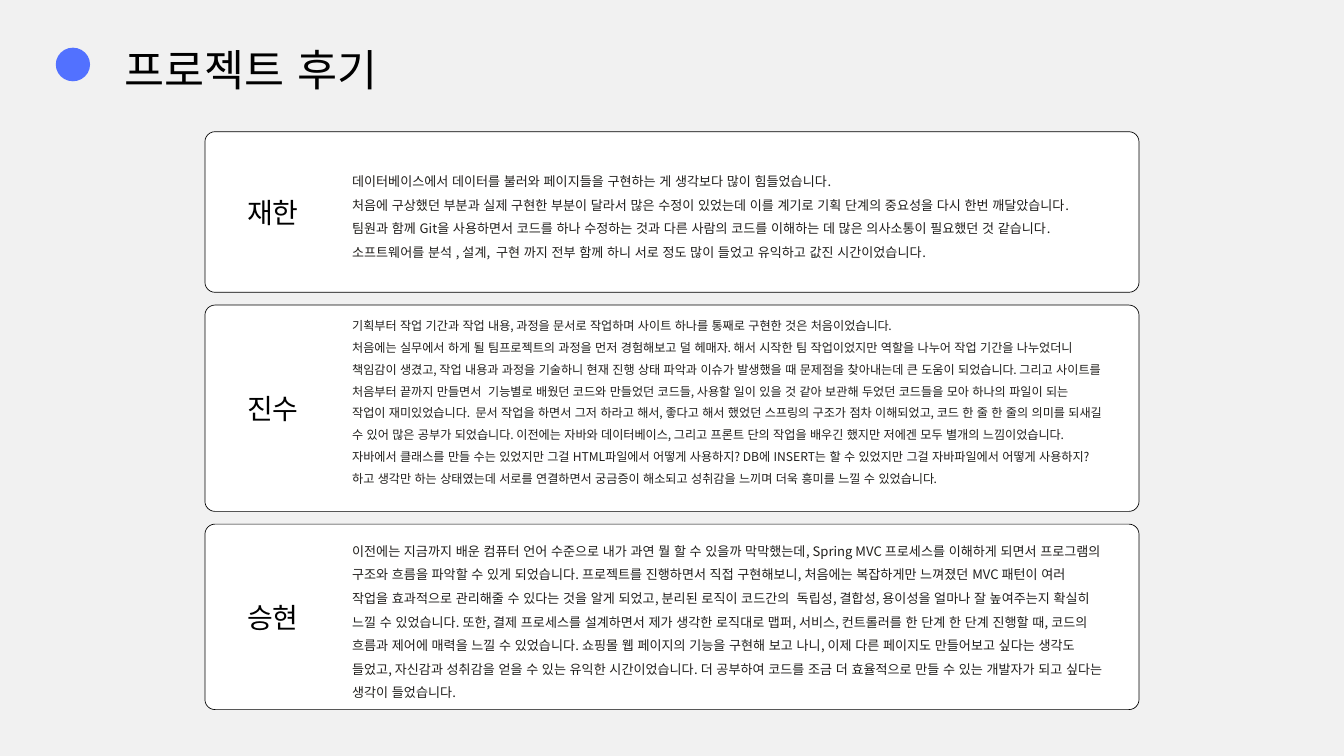
import pptx
import pptx.util
import pptx.dml.color
import pptx.enum.dml
import pptx.enum.lang
import pptx.enum.shapes
import pptx.enum.text
import pptx.oxml
import pptx.oxml.ns
from dataclasses import dataclass


@dataclass(frozen=True)
class Theme:
    font: str = "Noto Sans CJK KR"
    background: str = "F1F1F1"
    card: str = "FFFFFF"
    ink: str = "000000"
    body: str = "211F1C"
    accent: str = "5271FF"
    title_size: float = 46.6
    name_size: int = 30
    review_size: int = 14
    long_review_size: int = 13


THEME = Theme()
PX = 9144  # EMU, 100 px to the inch
SHAPES = pptx.enum.shapes.MSO_SHAPE
ALIGN = pptx.enum.text.PP_ALIGN
ANCHOR = pptx.enum.text.MSO_ANCHOR


def rgb(code):
    return pptx.dml.color.RGBColor.from_string(code)


def write(frame, paragraphs, size, color, align, spacing=None, anchor=ANCHOR.TOP):
    """Fill a text frame without insets, in one style, Hangul included."""
    frame.text = "\n".join(paragraphs)
    frame.word_wrap = True
    frame.auto_size = pptx.enum.text.MSO_AUTO_SIZE.SHAPE_TO_FIT_TEXT
    frame.vertical_anchor = anchor
    frame.margin_left = frame.margin_right = 0
    frame.margin_top = frame.margin_bottom = 0
    for paragraph in frame.paragraphs:
        paragraph.alignment = align
        paragraph.line_spacing = spacing
        for run in paragraph.runs:
            run.font.name = THEME.font
            run.font.size = pptx.util.Pt(size)
            run.font.color.rgb = rgb(color)
            run.font.language_id = pptx.enum.lang.MSO_LANGUAGE_ID.KOREAN
            east_asian = pptx.oxml.parse_xml(
                f'<a:ea {pptx.oxml.ns.nsdecls("a")} typeface="{THEME.font}"/>')
            run.font._element.find(pptx.oxml.ns.qn("a:latin")).addnext(east_asian)


# Name, card height, review width, review height, type size, paragraphs
REVIEWS = [
    ("재한", 239, 1083, 137, THEME.review_size, [
        "데이터베이스에서 데이터를 불러와 페이지들을 구현하는 게 생각보다 많이 힘들었습니다.",
        "처음에 구상했던 부분과 실제 구현한 부분이 달라서 많은 수정이 있었는데 이를 계기로 "
        "기획 단계의 중요성을 다시 한번 깨달았습니다.",
        "팀원과 함께 Git을 사용하면서 코드를 하나 수정하는 것과 다른 사람의 코드를 이해하는 데 "
        "많은 의사소통이 필요했던 것 같습니다.",
        "소프트웨어를 분석 , 설계,  구현 까지 전부 함께 하니 서로 정도 많이 들었고 "
        "유익하고 값진 시간이었습니다.",
    ]),
    ("진수", 307, 1118, 288, THEME.long_review_size, [
        "기획부터 작업 기간과 작업 내용, 과정을 문서로 작업하며 사이트 하나를 통째로 "
        "구현한 것은 처음이었습니다.",
        "처음에는 실무에서 하게 될 팀프로젝트의 과정을 먼저 경험해보고 덜 헤매자. "
        "해서 시작한 팀 작업이었지만 역할을 나누어 작업 기간을 나누었더니 책임감이 생겼고, "
        "작업 내용과 과정을 기술하니 현재 진행 상태 파악과 이슈가 발생했을 때 문제점을 "
        "찾아내는데 큰 도움이 되었습니다. 그리고 사이트를 처음부터 끝까지 만들면서  "
        "기능별로 배웠던 코드와 만들었던 코드들, 사용할 일이 있을 것 같아 보관해 두었던 "
        "코드들을 모아 하나의 파일이 되는 작업이 재미있었습니다.  문서 작업을 하면서 "
        "그저 하라고 해서, 좋다고 해서 했었던 스프링의 구조가 점차 이해되었고, "
        "코드 한 줄 한 줄의 의미를 되새길 수 있어 많은 공부가 되었습니다. 이전에는 자바와 "
        "데이터베이스, 그리고 프론트 단의 작업을 배우긴 했지만 저에겐 모두 별개의 "
        "느낌이었습니다. 자바에서 클래스를 만들 수는 있었지만 그걸 HTML파일에서 어떻게 "
        "사용하지? DB에 INSERT는 할 수 있었지만 그걸 자바파일에서 어떻게 사용하지? "
        "하고 생각만 하는 상태였는데 서로를 연결하면서 궁금증이 해소되고 성취감을 느끼며 "
        "더욱 흥미를 느낄 수 있었습니다.",
    ]),
    ("승현", 276, 1118, 243, THEME.review_size, [
        "이전에는 지금까지 배운 컴퓨터 언어 수준으로 내가 과연 뭘 할 수 있을까 막막했는데, "
        "Spring MVC 프로세스를 이해하게 되면서 프로그램의 구조와 흐름을 파악할 수 있게 "
        "되었습니다. 프로젝트를 진행하면서 직접 구현해보니, 처음에는 복잡하게만 느껴졌던 "
        "MVC 패턴이 여러 작업을 효과적으로 관리해줄 수 있다는 것을 알게 되었고, "
        "분리된 로직이 코드간의  독립성, 결합성, 용이성을 얼마나 잘 높여주는지 확실히 느낄 수 "
        "있었습니다. 또한, 결제 프로세스를 설계하면서 제가 생각한 로직대로 맵퍼, 서비스, "
        "컨트롤러를 한 단계 한 단계 진행할 때, 코드의 흐름과 제어에 매력을 느낄 수 "
        "있었습니다. 쇼핑몰 웹 페이지의 기능을 구현해 보고 나니, 이제 다른 페이지도 "
        "만들어보고 싶다는 생각도 들었고, 자신감과 성취감을 얻을 수 있는 유익한 "
        "시간이었습니다. 더 공부하여 코드를 조금 더 효율적으로 만들 수 있는 개발자가 되고 "
        "싶다는 생각이 들었습니다.",
    ]),
]

deck = pptx.Presentation()
deck.slide_width, deck.slide_height = 2000 * PX, 1125 * PX
slide = deck.slides.add_slide(deck.slide_layouts[5])
slide.background.fill.solid()
slide.background.fill.fore_color.rgb = rgb(THEME.background)

title = slide.shapes.title
title.left, title.top, title.width, title.height = 186 * PX, 47 * PX, 839 * PX, 90 * PX
write(title.text_frame, ["프로젝트 후기"], THEME.title_size, THEME.ink, ALIGN.LEFT,
      pptx.util.Pt(68.5))

title_dot = slide.shapes.add_shape(SHAPES.OVAL, 83 * PX, 71 * PX, 51 * PX, 50 * PX)
title_dot.shadow.inherit = False
title_dot.fill.solid()
title_dot.fill.fore_color.rgb = rgb(THEME.accent)
title_dot.line.fill.background()

CARD_LEFT, CARD_WIDTH, CARD_GAP, CORNER = 305, 1390, 19, 15
NAME_LEFT, NAME_WIDTH, NAME_HEIGHT = 335, 142, 61
REVIEW_LEFT = 524

card_top = 196
for name, card_height, review_width, review_height, review_size, paragraphs in REVIEWS:
    card = slide.shapes.add_shape(SHAPES.ROUNDED_RECTANGLE, CARD_LEFT * PX, card_top * PX,
                                  CARD_WIDTH * PX, card_height * PX)
    card.adjustments[0] = CORNER / card_height
    card.shadow.inherit = False
    card.fill.solid()
    card.fill.fore_color.rgb = rgb(THEME.card)
    card.line.color.rgb = rgb(THEME.ink)
    card.line.width = pptx.util.Pt(0.75)

    middle = card_top + card_height // 2
    review = slide.shapes.add_textbox(REVIEW_LEFT * PX, (middle - review_height // 2) * PX,
                                      review_width * PX, review_height * PX)
    write(review.text_frame, paragraphs, review_size, THEME.body, ALIGN.LEFT, 1.5)

    reviewer = slide.shapes.add_textbox(NAME_LEFT * PX, (middle - NAME_HEIGHT // 2) * PX,
                                        NAME_WIDTH * PX, NAME_HEIGHT * PX)
    write(reviewer.text_frame, [name], THEME.name_size, THEME.ink, ALIGN.CENTER,
          anchor=ANCHOR.MIDDLE)
    card_top += card_height + CARD_GAP

deck.save("out.pptx")
